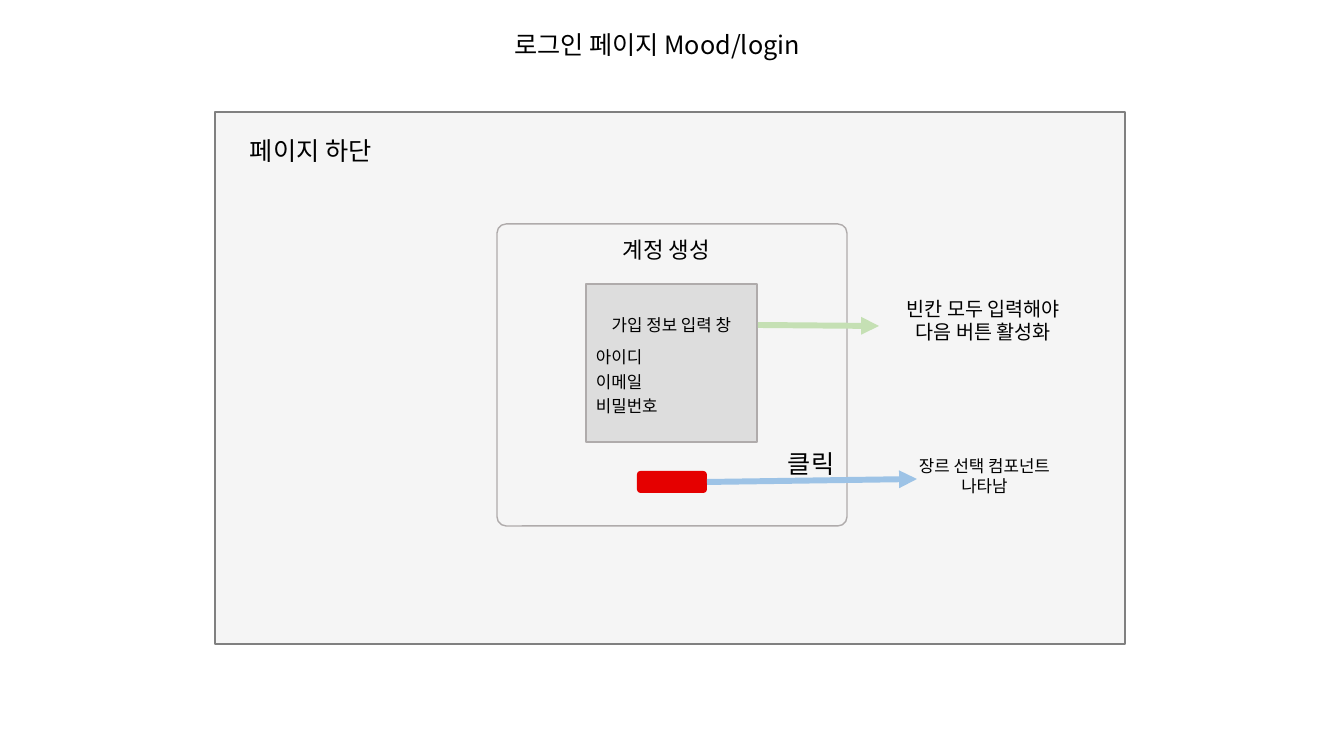
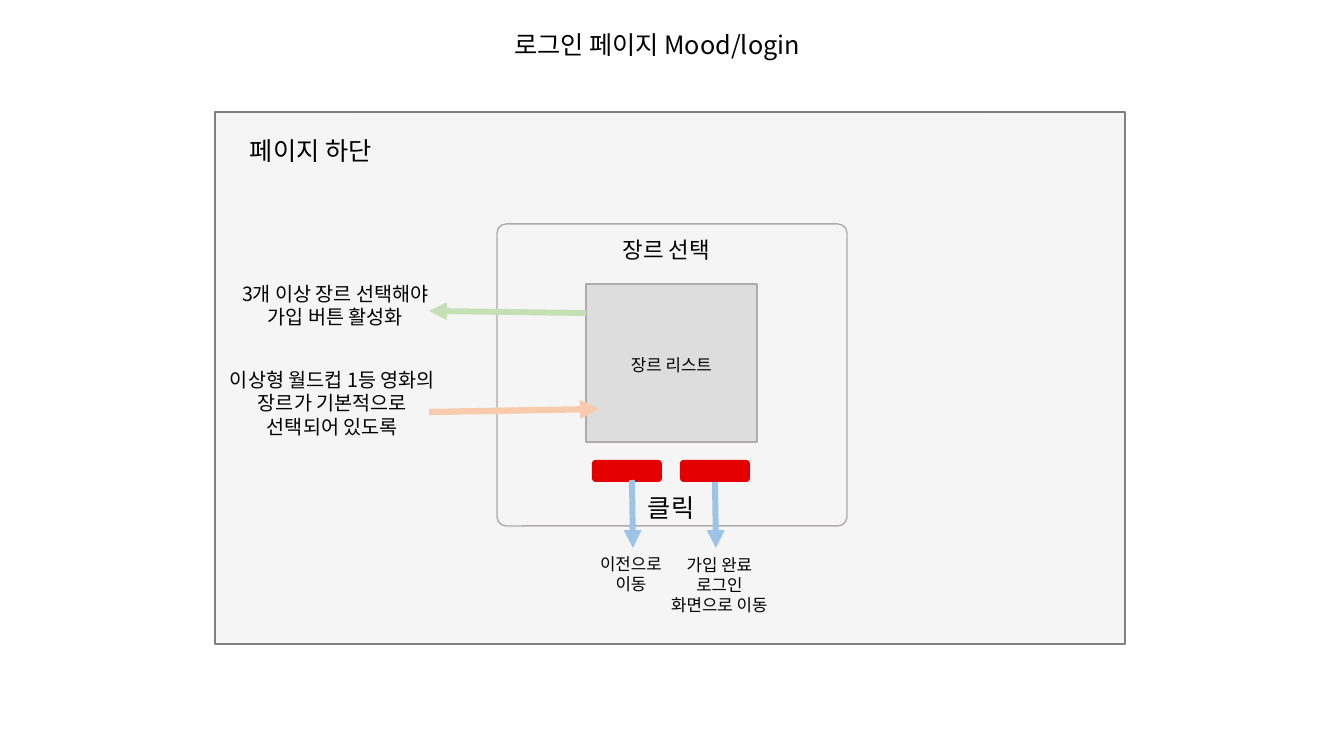
import pptx
import pptx.util
import pptx.dml.color
import pptx.enum.shapes
import pptx.enum.text
import pptx.oxml.ns
import lxml.etree

FONT = "Noto Sans CJK KR"
PX = 914400 / 100.8
BLACK, PANEL, FIELD, RED = "000000", "F5F5F5", "DDDDDD", "E50000"
FRAME_LINE, HEADER_LINE, CARD_LINE = "808080", "7F7F7F", "AFABAB"
BLUE, GREEN, ORANGE = "9DC3E6", "C5E0B4", "F8CBAD"
BUTTON_SIZE = (70, 22)
RECT = pptx.enum.shapes.MSO_SHAPE.RECTANGLE
ROUNDED = pptx.enum.shapes.MSO_SHAPE.ROUNDED_RECTANGLE
LEFT, CENTER = pptx.enum.text.PP_ALIGN.LEFT, pptx.enum.text.PP_ALIGN.CENTER
TOP, MIDDLE = pptx.enum.text.MSO_ANCHOR.TOP, pptx.enum.text.MSO_ANCHOR.MIDDLE


def emu(*lengths):
    return [round(length * PX) for length in lengths]


def color(hex_text):
    return pptx.dml.color.RGBColor.from_string(hex_text)


def write(shape, text, size, align=LEFT, anchor=TOP, spacing=None):
    """Fill a shape with one paragraph per line of text."""
    frame = shape.text_frame
    frame.text = text
    frame.word_wrap = True
    frame.vertical_anchor = anchor
    for paragraph in frame.paragraphs:
        paragraph.alignment = align
        paragraph.line_spacing = spacing
        for run in paragraph.runs:
            run.font.size = pptx.util.Pt(size)
            run.font.color.rgb = color(BLACK)
            run.font.name = FONT
            east_asian = lxml.etree.SubElement(run.font._element, pptx.oxml.ns.qn("a:ea"))
            east_asian.set("typeface", FONT)


def add_label(slide, box, text, size, **text_format):
    write(slide.shapes.add_textbox(*emu(*box)), text, size, **text_format)


def add_box(slide, kind, box, fill, line=None):
    shape = slide.shapes.add_shape(kind, *emu(*box))
    shape.shadow.inherit = False
    shape.fill.solid()
    shape.fill.fore_color.rgb = color(fill)
    if line:
        shape.line.color.rgb = color(line)
        shape.line.width = pptx.util.Pt(1)
    else:
        shape.line.fill.background()
    return shape


def add_line(slide, ends, line, width=4.25, arrow=True):
    connector = slide.shapes.add_connector(
        pptx.enum.shapes.MSO_CONNECTOR.STRAIGHT, *emu(*ends))
    connector.line.color.rgb = color(line)
    connector.line.width = pptx.util.Pt(width)
    if arrow:
        head = lxml.etree.SubElement(connector.line._get_or_add_ln(),
                                     pptx.oxml.ns.qn("a:tailEnd"))
        head.set("type", "triangle")
    lxml.etree.SubElement(connector._element.spPr, pptx.oxml.ns.qn("a:effectLst"))
    return connector


def add_page(card_title, field_text):
    """Add the shared wireframe and return its slide and its field."""
    slide = deck.slides.add_slide(deck.slide_layouts[5])
    title = slide.shapes.title
    title.left, title.top, title.width, title.height = emu(504, 24, 336, 40)
    write(title, "로그인 페이지 Mood/login", 18)
    add_box(slide, RECT, (215, 112, 910, 532), PANEL, FRAME_LINE)
    add_line(slide, (351, 112, 980, 112), HEADER_LINE, width=1, arrow=False)
    add_label(slide, (240, 130, 158, 40), "페이지 하단", 18)
    card = add_box(slide, ROUNDED, (497, 224, 350, 302), PANEL, CARD_LINE)
    card.adjustments[0] = 0.03
    add_label(slide, (613, 231, 119, 37), card_title, 16)
    field = add_box(slide, RECT, (586, 284, 171, 158), FIELD, CARD_LINE)
    write(field, field_text, 12, align=CENTER, anchor=MIDDLE, spacing=1.2)
    return slide, field


deck = pptx.Presentation()
deck.slide_width, deck.slide_height = emu(1344, 756)
note = {"align": CENTER, "anchor": MIDDLE}

# Account creation
signup, form = add_page("계정 생성", "가입 정보 입력 창\n아이디\n이메일\n비밀번호")
entries = form.text_frame.paragraphs[1:]
for entry in entries:
    entry.alignment = LEFT
entries[0].space_before = pptx.util.Pt(6)

next_button = add_box(signup, ROUNDED, (637, 471, *BUTTON_SIZE), RED)
next_step = add_line(signup, (707, 482, 917, 479), BLUE)
next_step.begin_connect(next_button, 3)
add_line(signup, (758, 325, 879, 326), GREEN)
add_label(signup, (778, 443, 71, 33), "클릭", 18)
add_label(signup, (875, 278, 217, 84), "빈칸 모두 입력해야\n다음 버튼 활성화", 14, **note)
add_label(signup, (901, 449, 167, 53), "장르 선택 컴포넌트\n나타남", 12, **note)

# Genre selection
genres, genre_list = add_page("장르 선택", "장르 리스트")
back_button, join_button = [
    add_box(genres, ROUNDED, (left, 460, *BUTTON_SIZE), RED) for left in (592, 680)]
back_step, join_step = [
    add_line(genres, (x, 480, x + 1, 548), BLUE) for x in (632, 715)]
join_step.begin_connect(join_button, 2)
add_line(genres, (586, 313, 429, 311), GREEN)
add_line(genres, (429, 412, 599, 409), ORANGE, width=4.5)
add_label(genres, (638, 487, 71, 33), "클릭", 18)
for box, text, size in (
    ((581, 547, 100, 53), "이전으로 이동", 12),
    ((661, 558, 117, 53), "가입 완료\n로그인 화면으로 이동", 12),
    ((218, 263, 235, 84), "3개 이상 장르 선택해야\n가입 버튼 활성화", 14),
    ((218, 361, 229, 84), "이상형 월드컵 1등 영화의 장르가 기본적으로 선택되어 있도록", 14),
):
    add_label(genres, box, text, size, **note)

deck.save("out.pptx")
